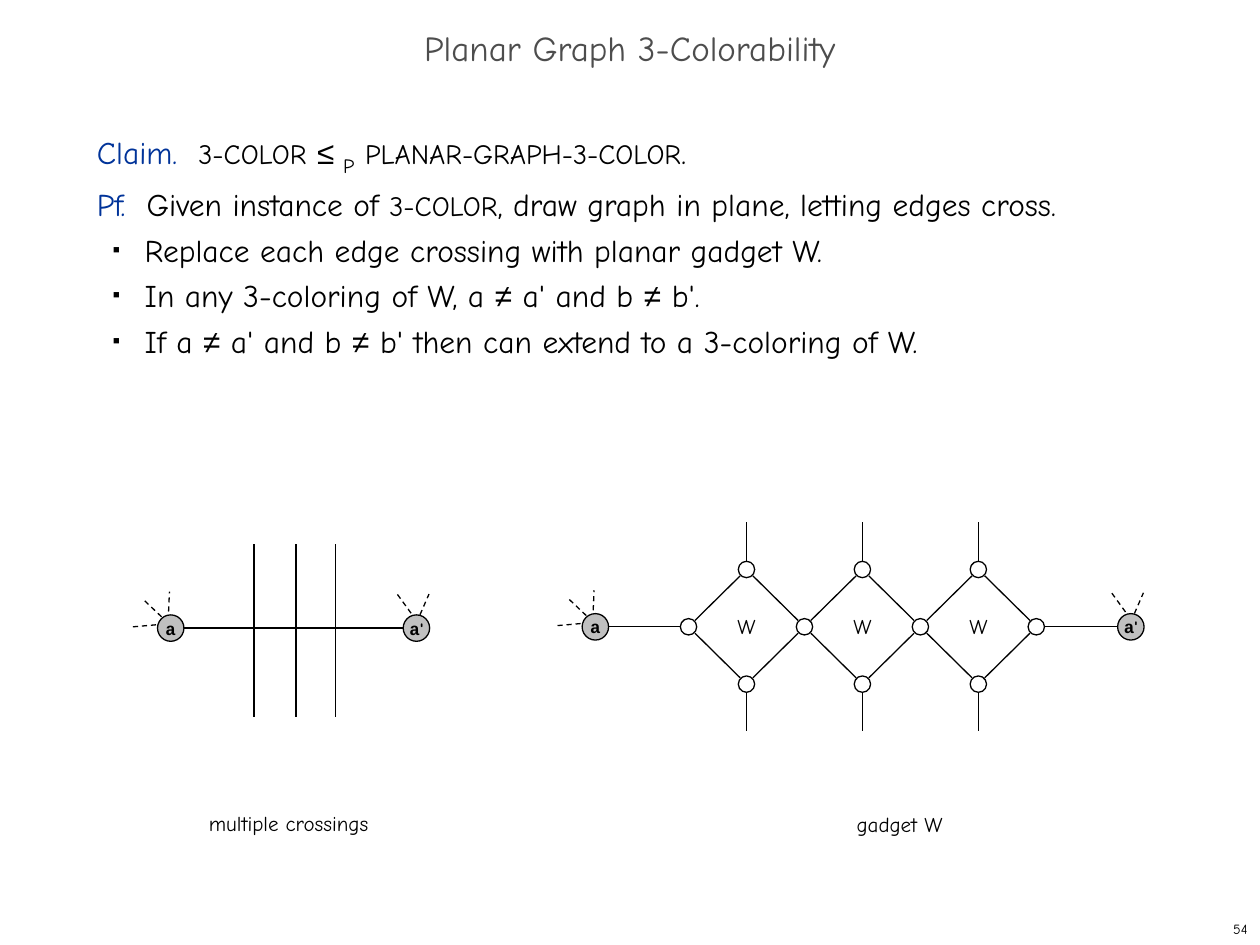
from lxml.etree import SubElement
from pptx import Presentation
from pptx.dml.color import RGBColor
from pptx.enum.dml import MSO_LINE
from pptx.enum.shapes import MSO_CONNECTOR, MSO_SHAPE
from pptx.enum.text import MSO_ANCHOR, MSO_AUTO_SIZE, PP_ALIGN
from pptx.oxml.ns import qn
from pptx.util import Inches, Pt

COLORS = {"text": "000000", "title": "4D4D4D", "lead": "003399", "node": "C0C0C0"}
MAIN_FONT = "Comic Neue"
NODE_SIZE, DOT_SIZE = 0.21, 0.13
HALF_WIDTH, HALF_HEIGHT = 0.46, 0.455
RIM = 0.05  # where a diagonal edge meets a small circle, from its centre

# Dashed edges leaving an end node, as offsets from its centre
LEFT_FAN = [(-0.02, -0.06, -0.01, -0.29), (-0.02, -0.04, -0.21, -0.22),
            (-0.3, -0.01, -0.07, -0.03)]
RIGHT_FAN = [(0, -0.04, 0.1, -0.27), (0, -0.06, -0.16, -0.28)]


def rgb(name):
    return RGBColor.from_string(COLORS[name])


def add_run(para, text, size, color="text", font=MAIN_FONT, bold=False):
    span = para.add_run()
    span.text = text
    span.font.size = Pt(size)
    span.font.name = font
    span.font.bold = bold
    span.font.color.rgb = rgb(color)
    return span


def add_box(page, left, top, width, height, wrap=True, anchor=MSO_ANCHOR.TOP):
    """Add an empty text box and return its text frame."""
    box = page.shapes.add_textbox(Inches(left), Inches(top), Inches(width), Inches(height))
    frame = box.text_frame
    frame.word_wrap = wrap
    frame.vertical_anchor = anchor
    if not wrap:
        frame.auto_size = MSO_AUTO_SIZE.SHAPE_TO_FIT_TEXT
    return frame


def add_label(page, left, top, width, text):
    frame = add_box(page, left, top, width, 0.3, wrap=False)
    add_run(frame.paragraphs[0], text, 12)


def add_line(page, x1, y1, x2, y2, dashed=False):
    line = page.shapes.add_connector(
        MSO_CONNECTOR.STRAIGHT, Inches(x1), Inches(y1), Inches(x2), Inches(y2))
    line.line.color.rgb = rgb("text")
    line.line.width = Pt(0.75)
    if dashed:
        line.line.dash_style = MSO_LINE.DASH
    SubElement(line._element.spPr, qn("a:effectLst"))


def add_circle(page, x, y, size):
    """Add an unfilled circle centred on x, y."""
    circle = page.shapes.add_shape(
        MSO_SHAPE.OVAL, Inches(x - size / 2), Inches(y - size / 2), Inches(size), Inches(size))
    circle.shadow.inherit = False
    circle.fill.background()
    circle.line.color.rgb = rgb("text")
    circle.line.width = Pt(0.75)
    return circle


def add_end_node(page, x, y, fan, primed=False):
    """Add a grey node named a or a' with its dashed edges."""
    for x1, y1, x2, y2 in fan:
        add_line(page, x + x1, y + y1, x + x2, y + y2, dashed=True)
    node = add_circle(page, x, y, NODE_SIZE)
    node.fill.solid()
    node.fill.fore_color.rgb = rgb("node")
    frame = node.text_frame
    frame.word_wrap = False
    frame.vertical_anchor = MSO_ANCHOR.MIDDLE
    para = frame.paragraphs[0]
    para.alignment = PP_ALIGN.CENTER
    add_run(para, "a", 10, font="Courier New", bold=True)
    if primed:
        add_run(para, "'", 10, bold=True)


def add_bullet(para):
    para.level = 1
    properties = para._p.get_or_add_pPr()
    properties.set("marL", str(Inches(0.38)))
    properties.set("indent", str(Inches(-0.25)))
    color = SubElement(properties, qn("a:buClr"))
    SubElement(color, qn("a:srgbClr"), val=COLORS["text"])
    SubElement(properties, qn("a:buSzPct"), val="35000")
    SubElement(properties, qn("a:buFont"), typeface="Arial")
    SubElement(properties, qn("a:buChar"), char="■")


def add_title(page):
    para = add_box(page, 0, 0.17, 10, 0.5, anchor=MSO_ANCHOR.MIDDLE).paragraphs[0]
    para.alignment = PP_ALIGN.CENTER
    para.line_spacing = 0.7
    add_run(para, "Planar Graph 3-Colorability", 20, "title")


def add_proof(page):
    frame = add_box(page, 0.67, 1, 8.58, 5.92)
    claim = frame.paragraphs[0]
    claim.line_spacing = Pt(26)
    add_run(claim, "Claim.  ", 18, "lead")
    add_run(claim, "3-COLOR", 16)
    add_run(claim, " ", 18)
    add_run(claim, "≤ ", 18, font="Arial")
    subscript = add_run(claim, "P", 20)
    subscript.font._element.set("baseline", "-25000")
    add_run(claim, " ", 18)
    add_run(claim, "PLANAR-GRAPH-3-COLOR", 16)
    add_run(claim, ".", 18)

    proof = frame.add_paragraph()
    proof.line_spacing = Pt(26)
    add_run(proof, "Pf.  ", 18, "lead")
    add_run(proof, "Given instance of ", 18)
    add_run(proof, "3-COLOR", 16)
    add_run(proof, ", draw graph in plane, letting edges cross.", 18)

    steps = [
        ["Replace each edge crossing with planar gadget W."],
        ["In any 3-coloring of W, a ", "≠", " a' and b ", "≠", " b'."],
        ["If a ", "≠", " a' and b ", "≠", " b' then can extend to a 3-coloring of W."],
    ]
    for step in steps:
        para = frame.add_paragraph()
        para.line_spacing = Pt(26)
        add_bullet(para)
        for text in step:
            add_run(para, text, 18, font="Arial" if text == "≠" else MAIN_FONT)


def add_crossings(page):
    left, right, middle = 1.355, 3.305, 4.985
    add_line(page, left + NODE_SIZE / 2, middle, right - NODE_SIZE / 2, middle)
    for x in (2.015, 2.35, 2.665):
        add_line(page, x, 5.69, x, 4.32)
    add_end_node(page, left, middle, LEFT_FAN)
    add_end_node(page, right, middle, RIGHT_FAN, primed=True)
    add_label(page, 1.56, 6.38, 1.47, "multiple crossings")


def add_diamond(page, x, y):
    """Add one W gadget centred on x, y, without its left circle."""
    for side in (-1, 1):
        tip = y + side * HALF_HEIGHT
        add_circle(page, x, tip, DOT_SIZE)
        outer = tip + side * DOT_SIZE / 2
        add_line(page, x, outer, x, outer + side * 0.31)
        for direction in (-1, 1):
            add_line(page, x + direction * RIM, tip - side * RIM,
                     x + direction * (HALF_WIDTH - RIM), y + side * RIM)
    add_circle(page, x + HALF_WIDTH, y, DOT_SIZE)
    add_label(page, x - 0.17, 4.82, 0.34, "W")


def add_gadget_chain(page):
    left, right, middle = 4.725, 8.975, 4.975
    centers = [5.925 + 2 * HALF_WIDTH * index for index in range(3)]
    first, last = centers[0] - HALF_WIDTH, centers[-1] + HALF_WIDTH
    add_circle(page, first, middle, DOT_SIZE)
    for x in centers:
        add_diamond(page, x, middle)
    add_line(page, left + NODE_SIZE / 2, middle, first - DOT_SIZE / 2, middle)
    add_line(page, last + DOT_SIZE / 2, middle, right - NODE_SIZE / 2, middle)
    add_end_node(page, left, middle, LEFT_FAN)
    add_end_node(page, right, middle, RIGHT_FAN, primed=True)
    add_label(page, 6.7, 6.39, 0.88, "gadget W")


def add_page_number(page):
    frame = add_box(page, 7.92, 7.25, 2.08, 0.25, anchor=MSO_ANCHOR.MIDDLE)
    para = frame.paragraphs[0]
    para.alignment = PP_ALIGN.RIGHT
    add_run(para, "54", 8)


def main():
    deck = Presentation()
    deck.slide_width, deck.slide_height = Inches(10), Inches(7.5)
    page = deck.slides.add_slide(deck.slide_layouts[6])
    add_title(page)
    add_proof(page)
    add_crossings(page)
    add_gadget_chain(page)
    add_page_number(page)
    deck.save("out.pptx")


if __name__ == "__main__":
    main()
